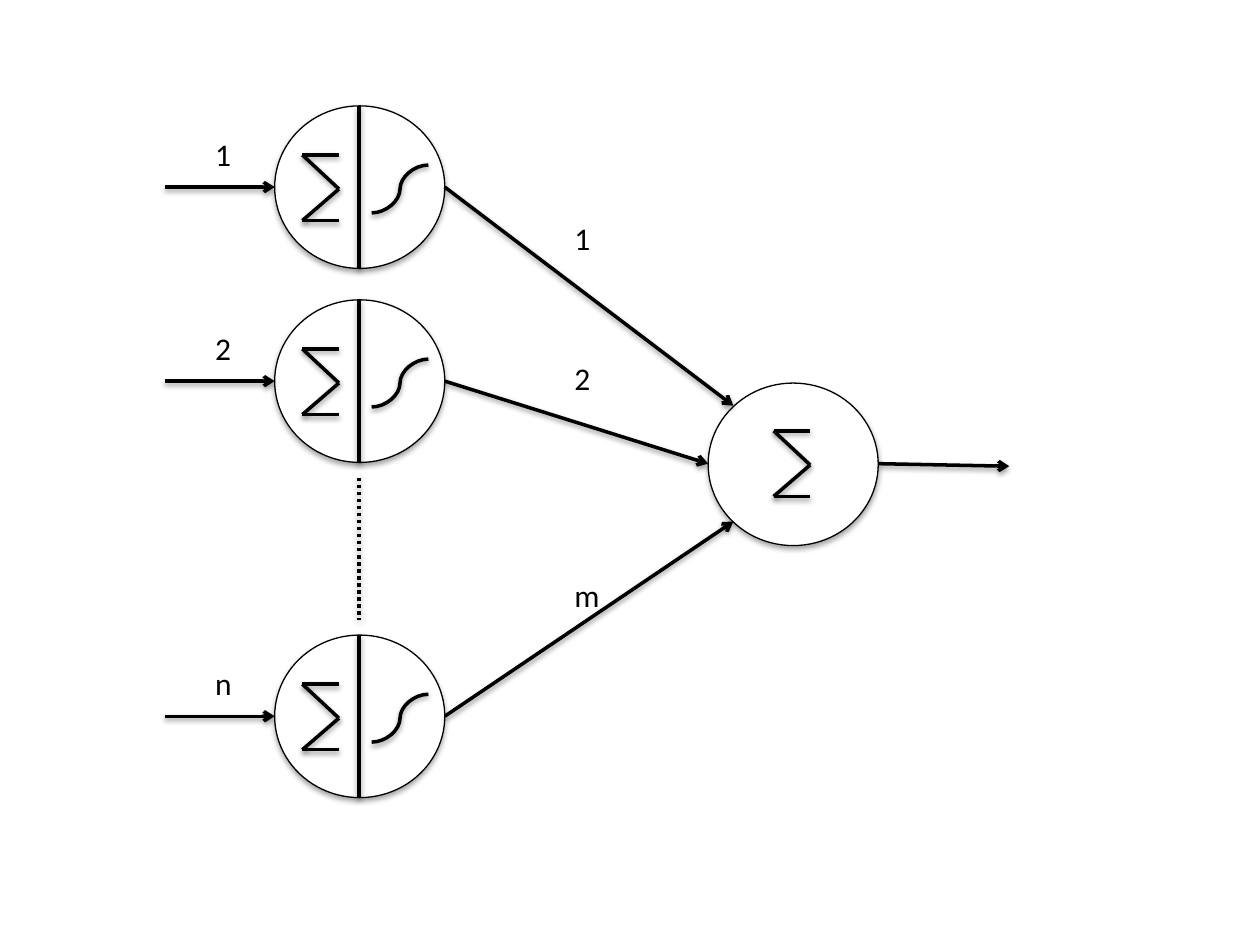
import dataclasses
import typing

import lxml.etree
import pptx
import pptx.dml.color
import pptx.enum.dml
import pptx.enum.shapes
import pptx.enum.text
import pptx.oxml.ns
import pptx.util

Inches = pptx.util.Inches
Connector = pptx.enum.shapes.MSO_CONNECTOR
BLACK = "000000"
WHITE = "FFFFFF"
NODE_WIDTH = 1.35
NODE_HEIGHT = 1.29
HIDDEN_LEFT = 2.18
INPUT_LEFT = 1.31
DIVIDER_X = 2.85
OUTPUT_LEFT = 5.62
OUTPUT_TOP = 3.04


@dataclasses.dataclass(frozen=True)
class Neuron:
    top: float
    input_label: str
    weight_label: str
    weight_label_top: float
    weight_label_width: float
    target: tuple[float, float]


NEURONS = [
    Neuron(0.84, "1", "1", 1.69, 0.33, (5.82, 3.22)),
    Neuron(2.38, "2", "2", 2.8, 0.33, (OUTPUT_LEFT, 3.68)),
    Neuron(5.04, "n", "m", 4.52, 0.4, (5.82, 4.14)),
]


def color(value: str) -> pptx.dml.color.RGBColor:
    return pptx.dml.color.RGBColor.from_string(value)


def apply_format(target: typing.Any, values: dict[str, typing.Any]) -> None:
    for name, value in values.items():
        setattr(target, name, value)


def add_element(parent: typing.Any, tag: str, **attributes: str) -> typing.Any:
    return lxml.etree.SubElement(parent, pptx.oxml.ns.qn(tag), attributes)


def add_shadow(shape: typing.Any, opacity: int, distance: float) -> None:
    effects = add_element(shape._element.spPr, "a:effectLst")
    shadow = add_element(
        effects, "a:outerShdw", blurRad=str(pptx.util.Pt(3.1)),
        dist=str(pptx.util.Pt(distance)), dir="5400000", rotWithShape="0",
    )
    shadow_color = add_element(shadow, "a:srgbClr", val=BLACK)
    add_element(shadow_color, "a:alpha", val=str(opacity * 1000))


def add_line(
    slide: typing.Any,
    start: tuple[float, float],
    end: tuple[float, float],
    kind: typing.Any = Connector.STRAIGHT,
    arrow: bool = False,
    dash: typing.Any = None,
) -> None:
    points = [Inches(value) for value in (*start, *end)]
    connector = slide.shapes.add_connector(kind, *points)
    connector.line.color.rgb = color(BLACK)
    apply_format(connector.line, {"width": pptx.util.Pt(2), "dash_style": dash})
    if arrow:
        add_element(connector.line._get_or_add_ln(), "a:tailEnd", type="arrow")
    add_shadow(connector, 38, 1.6)


def add_circle(slide: typing.Any, left: float, top: float) -> None:
    box = [Inches(value) for value in (left, top, NODE_WIDTH, NODE_HEIGHT)]
    circle = slide.shapes.add_shape(pptx.enum.shapes.MSO_SHAPE.OVAL, *box)
    circle.fill.solid()
    circle.fill.fore_color.rgb = color(WHITE)
    circle.line.color.rgb = color(BLACK)
    circle.line.width = pptx.util.Pt(0.75)
    add_shadow(circle, 35, 1.8)


def add_sigma(slide: typing.Any, left: float, top: float) -> None:
    right, middle, bottom = left + 0.29, top + 0.27, top + 0.52
    add_line(slide, (right, bottom), (left, bottom))
    add_line(slide, (left, top), (right, middle))
    add_line(slide, (left, bottom), (right, middle))
    add_line(slide, (right, top), (left, top))


def add_label(slide: typing.Any, text: str, left: float, top: float, width: float) -> None:
    box = [Inches(value) for value in (left, top, width, 0.4)]
    label = slide.shapes.add_textbox(*box)
    apply_format(label.text_frame, {
        "word_wrap": False,
        "auto_size": pptx.enum.text.MSO_AUTO_SIZE.SHAPE_TO_FIT_TEXT,
    })
    run = label.text_frame.paragraphs[0].add_run()
    run.text = text
    apply_format(run.font, {"name": "Calibri", "size": pptx.util.Pt(18)})
    run.font.color.rgb = color(BLACK)


def add_neuron(slide: typing.Any, neuron: Neuron) -> None:
    top = neuron.top
    add_circle(slide, HIDDEN_LEFT, top)
    add_line(slide, (DIVIDER_X, top), (DIVIDER_X, top + NODE_HEIGHT))
    add_sigma(slide, 2.4, top + 0.39)
    add_line(slide, (3.4, top + 0.47), (2.95, top + 0.85), Connector.CURVE)


def add_links(slide: typing.Any, neuron: Neuron) -> None:
    middle = neuron.top + NODE_HEIGHT / 2
    add_line(slide, (HIDDEN_LEFT + NODE_WIDTH, middle), neuron.target, arrow=True)
    add_line(slide, (INPUT_LEFT, middle), (HIDDEN_LEFT, middle), arrow=True)
    add_label(slide, neuron.weight_label, 4.46, neuron.weight_label_top, neuron.weight_label_width)
    add_label(slide, neuron.input_label, 1.61, neuron.top + 0.18, 0.33)


def main() -> None:
    presentation = pptx.Presentation()
    apply_format(presentation, {"slide_width": Inches(10), "slide_height": Inches(7.5)})
    slide = presentation.slides.add_slide(presentation.slide_layouts[6])
    for neuron in NEURONS:
        add_neuron(slide, neuron)
    add_line(
        slide, (DIVIDER_X, 3.79), (DIVIDER_X, 4.92),
        dash=pptx.enum.dml.MSO_LINE.ROUND_DOT,
    )
    add_circle(slide, OUTPUT_LEFT, OUTPUT_TOP)
    add_sigma(slide, 6.14, OUTPUT_TOP + 0.38)
    for neuron in NEURONS:
        add_links(slide, neuron)
    add_line(slide, (OUTPUT_LEFT + NODE_WIDTH, 3.68), (8.01, 3.7), arrow=True)
    presentation.save("out.pptx")


main()
